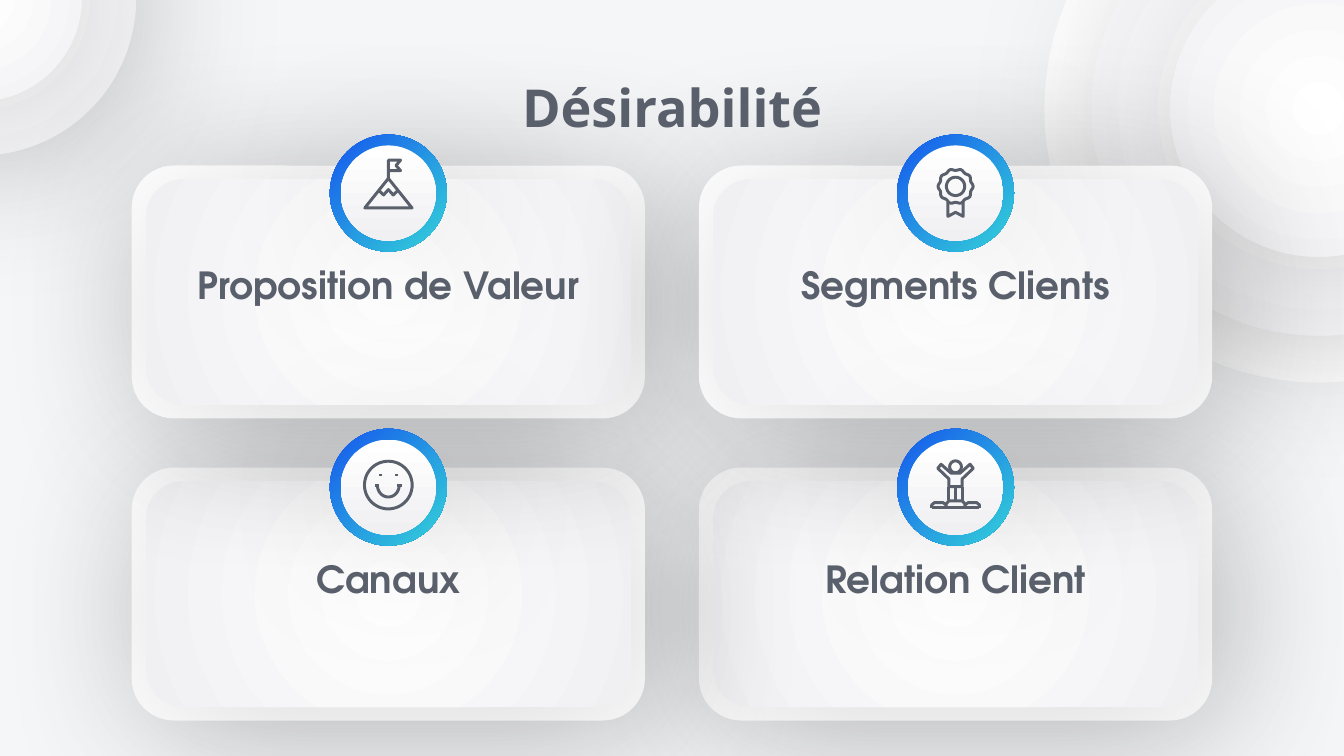
from dataclasses import dataclass
from math import cos, pi, sin

from lxml import etree
from pptx import Presentation
from pptx import util as u
from pptx.dml.color import RGBColor
from pptx.enum import shapes, text
from pptx.oxml.ns import qn


@dataclass(frozen=True)
class Theme:
    ink: str = "595F6B"
    white: str = "FFFFFF"
    backdrop: str = "F5F6F8"
    pearl: tuple = ("FFFFFF", "F0F0F3")
    ocean: tuple = ("1658F1", "36DBE0")
    title_font: str = "Open Sans"
    label_font: str = "TeX Gyre Adventor"
    title_size: int = 28
    label_size: int = 20
    icon_stroke: float = 1.6


def add_text(box, words, *, font, size, color, bold=True):
    frame = box.text_frame
    frame.word_wrap = True
    frame.vertical_anchor = text.MSO_ANCHOR.MIDDLE
    paragraph = frame.paragraphs[0]
    paragraph.alignment = text.PP_ALIGN.CENTER
    run = paragraph.add_run()
    run.text = words
    run.font.name, run.font.size, run.font.bold = font, u.Pt(size), bold
    run.font.color.rgb = RGBColor.from_string(color)


class Board:
    def __init__(self, slide, theme):
        self.slide, self.theme = slide, theme
        fill = slide.background.fill
        fill.solid()
        fill.fore_color.rgb = RGBColor.from_string(theme.backdrop)

    def surface(self, kind, cx, cy, width, height, colors, angle=None, shadow=True):
        """Centred shape; two colours give a radial gradient, or a linear one with an angle."""
        shape = self.slide.shapes.add_shape(
            kind, u.Cm(cx - width / 2), u.Cm(cy - height / 2), u.Cm(width), u.Cm(height))
        shape.line.fill.background()
        shape.shadow.inherit = False
        if isinstance(colors, str):
            shape.fill.solid()
            shape.fill.fore_color.rgb = RGBColor.from_string(colors)
        else:
            shape.fill.gradient()
            for stop, color in zip(shape.fill.gradient_stops, colors):
                stop.color.rgb = RGBColor.from_string(color)
            if angle is None:
                self.make_radial(shape)
            else:
                shape.fill.gradient_angle = 360 - angle
        if shadow:
            self.cast_shadow(shape)
        return shape

    def make_radial(self, shape):
        gradient = shape._element.spPr.find(qn("a:gradFill"))
        gradient.remove(gradient.find(qn("a:lin")))
        radial = etree.Element(qn("a:path"), path="circle")
        etree.SubElement(radial, qn("a:fillToRect"), l="50000", t="50000", r="50000", b="50000")
        gradient.find(qn("a:gsLst")).addnext(radial)

    def cast_shadow(self, shape):
        effects = shape._element.spPr.find(qn("a:effectLst"))
        outer = etree.SubElement(
            effects, qn("a:outerShdw"), blurRad=str(u.Pt(85)), dist=str(u.Pt(11.2)),
            dir=str(45 * 60000), algn="ctr", rotWithShape="0")
        color = etree.SubElement(outer, qn("a:srgbClr"), val="000000")
        etree.SubElement(color, qn("a:alpha"), val="15000")

    def disc(self, cx, cy, diameter, colors, **style):
        return self.surface(shapes.MSO_SHAPE.OVAL, cx, cy, diameter, diameter, colors, **style)

    def panel(self, cx, cy):
        rounded = shapes.MSO_SHAPE.ROUNDED_RECTANGLE
        self.surface(rounded, cx, cy, 9.7, 4.78, self.theme.white)
        self.surface(rounded, cx, cy, 9.17, 4.27, self.theme.pearl)

    def badge(self, cx, cy):
        self.disc(cx, cy, 2.21, self.theme.ocean, angle=45, shadow=False)
        self.disc(cx, cy, 1.8, self.theme.pearl, angle=90)

    def icon(self, cx, cy, strokes, unit=0.048):
        """Line drawing on a grid running from -10 to 10 around its centre."""
        placed = [[(u.Cm(cx + x * unit), u.Cm(cy + y * unit)) for x, y in stroke]
                  for stroke in strokes]
        builder = self.slide.shapes.build_freeform(*placed[0][0])
        for index, stroke in enumerate(placed):
            if index:
                builder.move_to(*stroke[0])
            builder.add_line_segments(stroke[1:], close=stroke[0] == stroke[-1])
        drawing = builder.convert_to_shape()
        drawing.fill.background()
        drawing.shadow.inherit = False
        drawing.line.color.rgb = RGBColor.from_string(self.theme.ink)
        drawing.line.width = u.Pt(self.theme.icon_stroke)

    def label(self, words, cx, top, width, font, size):
        box = self.slide.shapes.add_textbox(
            u.Cm(cx - width / 2), u.Cm(top), u.Cm(width), u.Cm(1.04))
        frame = box.text_frame
        frame.margin_left = frame.margin_right = u.Cm(0.25)
        frame.margin_top = frame.margin_bottom = u.Cm(0.25)
        add_text(box, words, font=font, size=size, color=self.theme.ink)


def arc(cy, rx, ry, turn=1.0, ripple=0.0, steps=60):
    points = []
    for step in range(steps + 1):
        angle = 2 * pi * turn * step / steps
        swell = 1 + ripple * cos(10 * angle)
        points.append((round(rx * swell * cos(angle), 2), round(cy + ry * swell * sin(angle), 2)))
    return points


def mirror(points):
    return [(-x, y) for x, y in points]


# Icon strokes
MOUNTAIN = [
    [(0, -2.2), (9.3, 9.4), (-9.3, 9.4), (0, -2.2)],
    [(0, -2.2), (0, -9.4), (4.8, -9.4), (3, -7.3), (4.8, -5.3), (0, -5.3)],
    [(-3.7, 2.6), (-1.9, 4.3), (0, 2.2), (1.9, 4.3), (3.7, 2.6)],
]
AWARD = [
    arc(-2.6, 6.6, 6.6, ripple=0.05),
    arc(-2.6, 3.6, 3.6),
    [(-3, 3.6), (-3, 9.2), (0, 7.6), (3, 9.2), (3, 3.6)],
]
CHEEK, EYE = [(-5.2, 0), (-3.6, 0)], [(-3.2, -4.5), (-3.2, -3.5)]
SMILE = [arc(0, 9.4, 9.4), arc(0, 4.3, 4.7, turn=0.5), CHEEK, mirror(CHEEK), EYE, mirror(EYE)]
ARM = [(-1.8, -4.7), (-5.7, -8.2), (-7, -6.6), (-2.6, -2.4), (-2.6, 0.6)]
STEP = [(-9.4, 9), (-9.4, 7.8), (-8.3, 6.9), (-5, 6.9), (-3.7, 7.8)]
WINNER = [
    arc(-7.2, 2.3, 2.3),
    ARM + mirror(ARM)[::-1] + ARM[:1],
    *[[(x, 0.6), (x, 5.8)] for x in (-2.6, 0, 2.6)],
    STEP, mirror(STEP),
    [(-3.7, 9), (-3.7, 7.4), (-2.6, 6.2), (2.6, 6.2), (3.7, 7.4), (3.7, 9)],
    [(-9.4, 9), (9.4, 9)],
]

COLUMNS = (7.34, 18.06)      # card centres
PANEL_ROWS = (5.52, 11.23)   # card centres
BADGE_ROWS = (3.65, 9.21)
# Column, row, heading, icon, vertical icon shift
CARDS = [
    (1, 1, "Relation Client", WINNER, -0.04),
    (0, 1, "Canaux", SMILE, -0.04),
    (0, 0, "Proposition de Valeur", MOUNTAIN, -0.17),
    (1, 0, "Segments Clients", AWARD, 0),
]


def main():
    deck = Presentation()
    deck.slide_width, deck.slide_height = u.Cm(25.4), u.Cm(14.29)
    theme = Theme()
    board = Board(deck.slides.add_slide(deck.slide_layouts[6]), theme)

    # Corner discs
    board.disc(24.92, 2.05, 10.36, theme.white, shadow=False)
    for cx, cy, diameters in ((24.92, 2.05, (8.59, 5.61)), (-0.4, -0.03, (5.94, 3.89))):
        for diameter in diameters:
            board.disc(cx, cy, diameter, theme.pearl)

    # Cards
    for column, row, *_ in CARDS:
        board.panel(COLUMNS[column], PANEL_ROWS[row])

    # Badges, icons and headings
    for column, row, heading, strokes, shift in CARDS:
        cx, cy = COLUMNS[column], BADGE_ROWS[row]
        board.badge(cx, cy)
        board.icon(cx, cy + shift, strokes)
        board.label(heading, cx, cy + 1.2, 8.67, theme.label_font, theme.label_size)

    # Title
    board.label("Désirabilité", 12.7, 1.5, 21.44, theme.title_font, theme.title_size)

    deck.save("out.pptx")


if __name__ == "__main__":
    main()
